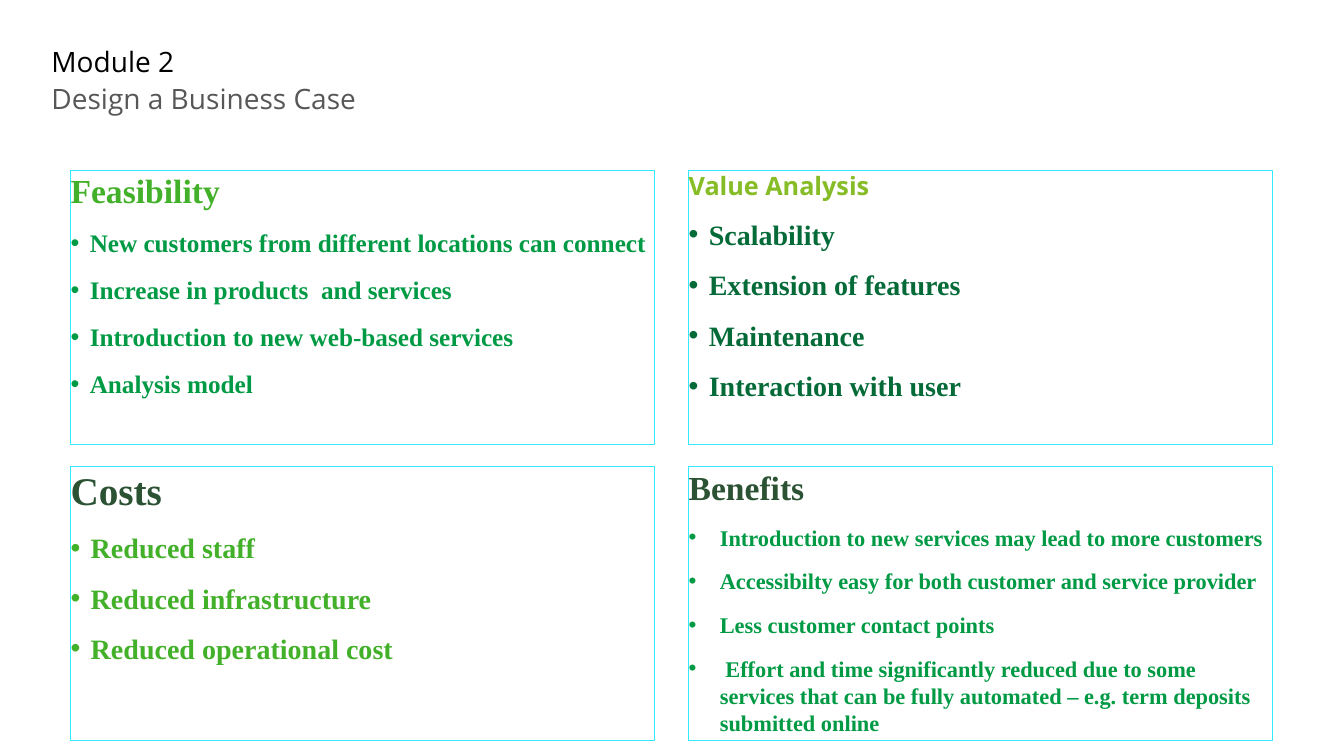
"""Build the business case slide with four boxed lists."""
from dataclasses import dataclass

import lxml.etree
import pptx
import pptx.dml.color
import pptx.enum.shapes
import pptx.enum.text
import pptx.oxml.ns
import pptx.util

Inches = pptx.util.Inches
Pt = pptx.util.Pt
Color = pptx.dml.color.RGBColor

BLACK = Color(0x00, 0x00, 0x00)
GREY = Color(0x57, 0x57, 0x57)
CYAN = Color(0x32, 0xE9, 0xFF)
LIME = Color(0x86, 0xBC, 0x25)
LEAF = Color(0x43, 0xB0, 0x2A)
GREEN = Color(0x00, 0x9A, 0x44)
FOREST = Color(0x04, 0x6A, 0x38)
MOSS = Color(0x2C, 0x52, 0x34)

SANS = "Open Sans"
SERIF = "Times New Roman"
LEFT, TOP = 0.7, 1.69
WIDTH, HEIGHT = 5.79, 2.72
STEP_X, STEP_Y = 6.13, 2.94
FRAME = {
    "margin_left": 0,
    "margin_top": 0,
    "margin_right": 0,
    "margin_bottom": 0,
    "word_wrap": True,
    "vertical_anchor": pptx.enum.text.MSO_ANCHOR.TOP,
}
PLAIN = {"alignment": pptx.enum.text.PP_ALIGN.LEFT}
SPACED = PLAIN | {"space_before": Pt(6), "space_after": Pt(6), "line_spacing": 1.0}


@dataclass(frozen=True)
class Style:
    """Hold the look of a run of text."""
    size: int
    color: Color
    name: str = SERIF
    bold: bool = True


@dataclass(frozen=True)
class Panel:
    """Hold one boxed list and its grid place."""
    col: int
    row: int
    title: str
    head: Style
    body: Style
    indent: float
    items: tuple[str, ...]


@dataclass(frozen=True)
class Label:
    """Hold one line of the slide heading."""
    text: str
    top: float
    height: float
    style: Style


LABELS = (
    Label("Module 2", 0.44, 0.37, Style(20, BLACK, SANS, False)),
    Label("Design a Business Case", 0.81, 0.41, Style(20, GREY, SANS, False)),
)

PANELS = (
    Panel(0, 0, "Feasibility", Style(24, LEAF), Style(18, GREEN), 0.19, (
        "New customers from different locations can connect",
        "Increase in products  and services",
        "Introduction to new web-based services",
        "Analysis model",
    )),
    Panel(1, 0, "Value Analysis", Style(18, LIME, SANS), Style(20, FOREST), 0.2, (
        "Scalability",
        "Extension of features",
        "Maintenance",
        "Interaction with user",
    )),
    Panel(0, 1, "Costs", Style(28, MOSS), Style(20, LEAF), 0.2, (
        "Reduced staff",
        "Reduced infrastructure",
        "Reduced operational cost",
    )),
    Panel(1, 1, "Benefits", Style(24, MOSS), Style(16, GREEN), 0.31, (
        "Introduction to new services may lead to more customers",
        "Accessibilty easy for both customer and service provider",
        "Less customer contact points",
        " Effort and time significantly reduced due to some services that can "
        "be fully automated – e.g. term deposits submitted online",
    )),
)


def apply(target: object, values: dict) -> None:
    """Set each named value on the target."""
    for key, value in values.items():
        setattr(target, key, value)


def write(para, text: str, style: Style, form: dict) -> None:
    """Put styled text in a paragraph."""
    apply(para, form)
    run = para.add_run()
    run.text = text
    apply(run.font, {"size": Pt(style.size), "name": style.name, "bold": style.bold})
    run.font.color.rgb = style.color


def bullet(para, indent: float) -> None:
    """Give a paragraph a hanging bullet."""
    props = para._p.get_or_add_pPr()
    props.set("marL", str(Inches(indent)))
    props.set("indent", str(-Inches(indent)))
    font = lxml.etree.SubElement(props, pptx.oxml.ns.qn("a:buFont"))
    font.set("typeface", "Arial")
    mark = lxml.etree.SubElement(props, pptx.oxml.ns.qn("a:buChar"))
    mark.set("char", "•")


def draw_label(slide, label: Label) -> None:
    """Draw one heading line."""
    box = slide.shapes.add_textbox(
        Inches(0.51), Inches(label.top), Inches(10.02), Inches(label.height))
    apply(box.text_frame, FRAME)
    write(box.text_frame.paragraphs[0], label.text, label.style, PLAIN)


def draw_panel(slide, panel: Panel) -> None:
    """Draw one boxed list."""
    box = slide.shapes.add_shape(
        pptx.enum.shapes.MSO_SHAPE.RECTANGLE,
        Inches(LEFT + panel.col * STEP_X), Inches(TOP + panel.row * STEP_Y),
        Inches(WIDTH), Inches(HEIGHT))
    box.shadow.inherit = False
    box.fill.background()
    box.line.color.rgb = CYAN
    box.line.width = Pt(0.75)
    frame = box.text_frame
    apply(frame, FRAME)
    write(frame.paragraphs[0], panel.title, panel.head, SPACED)
    for item in panel.items:
        para = frame.add_paragraph()
        write(para, item, panel.body, SPACED)
        bullet(para, panel.indent)


def main() -> None:
    """Build and save the deck."""
    deck = pptx.Presentation()
    deck.slide_width = Inches(13.33)
    deck.slide_height = Inches(7.5)
    slide = deck.slides.add_slide(deck.slide_layouts[6])
    for label in LABELS:
        draw_label(slide, label)
    for panel in PANELS:
        draw_panel(slide, panel)
    deck.save("out.pptx")


if __name__ == "__main__":
    main()
